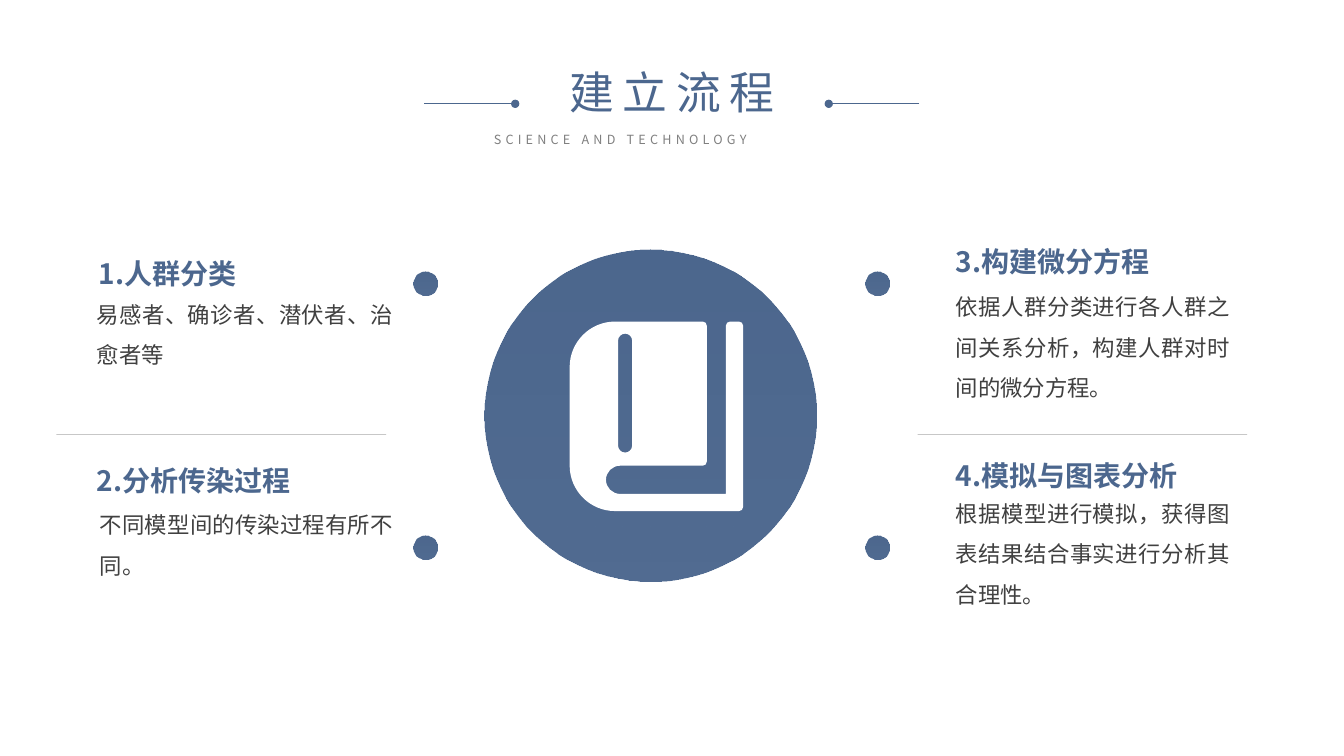
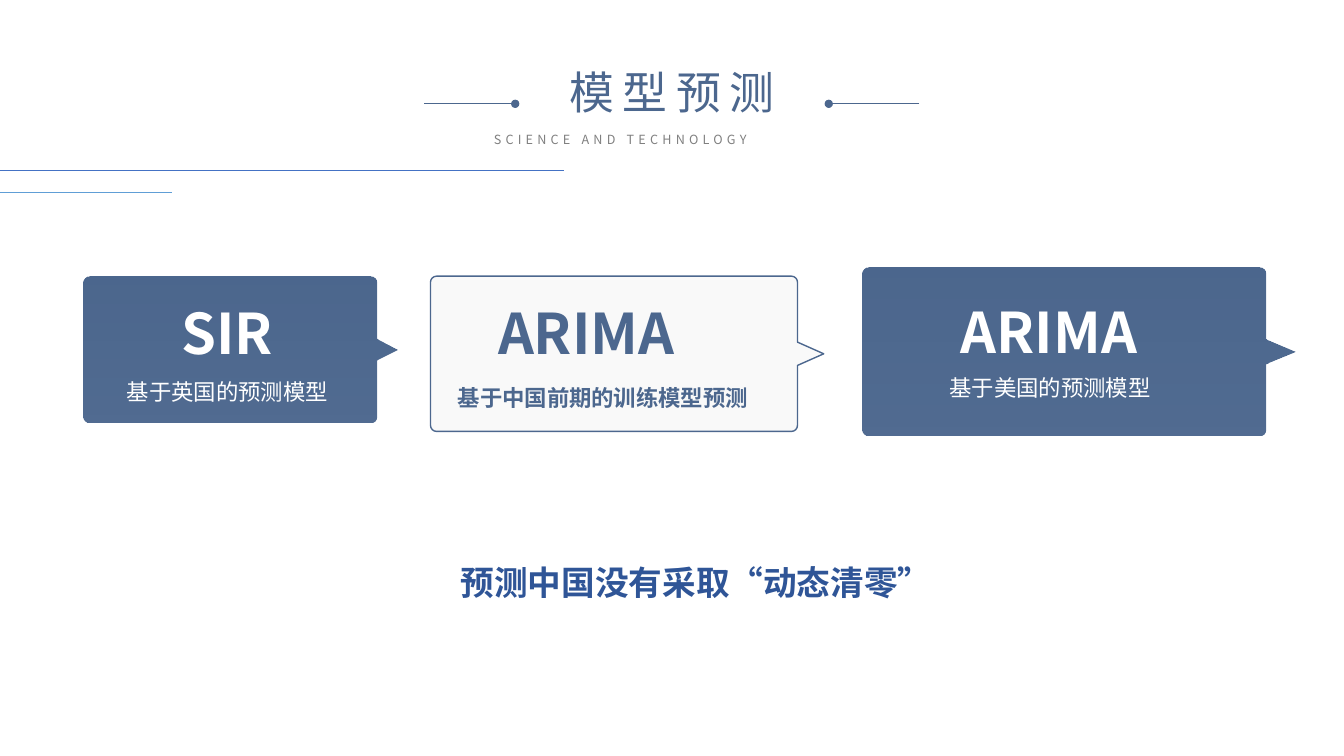
"""Build two slides on an epidemic modelling process and its predictions."""
import math

from pptx import Presentation
from pptx.dml.color import RGBColor
from pptx.enum import shapes, text
from pptx.oxml import ns, xmlchemy
from pptx.util import Inches, Pt

BLUE = RGBColor(0x4C, 0x67, 0x8E)
DEEP_BLUE = RGBColor(0x2F, 0x55, 0x97)
RULE_BLUE = RGBColor(0x44, 0x72, 0xC4)
SKY = RGBColor(0x60, 0x9E, 0xD6)
DARK = RGBColor(0x40, 0x40, 0x40)
GREY = RGBColor(0x80, 0x80, 0x80)
RULE_GREY = RGBColor(0xA6, 0xA6, 0xA6)
PALE = RGBColor(0xF2, 0xF2, 0xF2)
WHITE = RGBColor(0xFF, 0xFF, 0xFF)
FONT = "Noto Sans CJK SC"
LEFT, CENTER, JUSTIFY = (
    text.PP_ALIGN.LEFT, text.PP_ALIGN.CENTER, text.PP_ALIGN.JUSTIFY)
HEADING = {"size": Pt(20), "bold": True}
BODY = {"size": Pt(16)}
MODEL = {"size": Pt(40), "bold": True}
ARC_HANDLE = 0.55


def add_element(parent, tag, **attributes):
    element = xmlchemy.OxmlElement(tag)
    for name, value in attributes.items():
        element.set(name, value)
    parent.append(element)


def set_opacity(element, percent):
    color = list(element.iter(ns.qn("a:srgbClr")))[-1]
    add_element(color, "a:alpha", val=str(percent * 1000))


def add_text(slide, box, content, color, font_format, align=LEFT,
             line_spacing=1.5, inset=0, tracking=0):
    shape = slide.shapes.add_textbox(*map(Inches, box))
    frame = shape.text_frame
    frame.word_wrap = True
    frame.auto_size = text.MSO_AUTO_SIZE.SHAPE_TO_FIT_TEXT
    if inset is not None:
        for side in ("left", "top", "right", "bottom"):
            setattr(frame, f"margin_{side}", Inches(inset))
    paragraph = frame.paragraphs[0]
    paragraph.alignment = align
    paragraph.line_spacing = line_spacing
    run = paragraph.add_run()
    run.text = content
    for name, value in {"name": FONT, **font_format}.items():
        setattr(run.font, name, value)
    run.font.color.rgb = color
    properties = run.font._element
    add_element(properties, "a:ea", typeface=FONT)
    if tracking:
        properties.set("spc", str(tracking * 100))


def add_line(slide, start, end, color, opacity=100, oval_end=False):
    line = slide.shapes.add_connector(
        shapes.MSO_CONNECTOR.STRAIGHT, *map(Inches, (*start, *end)))
    line.line.color.rgb = color
    line.line.width = Pt(0.5)
    properties = line._element.spPr
    outline = properties.get_or_add_ln()
    if opacity < 100:
        set_opacity(outline, opacity)
    if oval_end:
        add_element(outline, "a:tailEnd", type="oval")
    add_element(properties, "a:effectLst")


def fill_plain(shape, color):
    shape.shadow.inherit = False
    shape.line.fill.background()
    shape.fill.solid()
    shape.fill.fore_color.rgb = color


def fill_gradient(shape):
    shape.shadow.inherit = False
    shape.line.fill.background()
    shape.fill.gradient()
    shape.fill.gradient_angle = 270
    for stop, position in zip(shape.fill.gradient_stops, (0, 1)):
        stop.color.rgb = BLUE
        stop.position = position
    set_opacity(shape._element.spPr, 97)


def add_disc(slide, center, diameter):
    x, y = (value - diameter / 2 for value in center)
    disc = slide.shapes.add_shape(
        shapes.MSO_SHAPE.OVAL, *map(Inches, (x, y, diameter, diameter)))
    fill_gradient(disc)


def round_corners(corners):
    """Turn (x, y, radius) corners into single points or Bezier quadruples."""
    pieces = []
    for index, (x, y, radius) in enumerate(corners):
        if not radius:
            pieces.append([(x, y)])
            continue
        ends = []
        for near in (corners[index - 1], corners[(index + 1) % len(corners)]):
            share = radius / math.dist((x, y), near[:2])
            ends.append((x + share * (near[0] - x), y + share * (near[1] - y)))
        handles = [
            (a + ARC_HANDLE * (x - a), b + ARC_HANDLE * (y - b))
            for a, b in ends]
        pieces.append([ends[0], *handles, ends[1]])
    return pieces


def bend_segments(shape, curve_starts):
    """Merge the three segments after each curve start into one curve."""
    outline = next(shape._element.iter(ns.qn("a:path")))
    segments = [item for item in outline if item.tag != ns.qn("a:close")]
    for start in curve_starts:
        curve = xmlchemy.OxmlElement("a:cubicBezTo")
        segments[start + 1].addprevious(curve)
        for segment in segments[start + 1:start + 4]:
            curve.append(segment[0])
            outline.remove(segment)


def add_outline(slide, *contours):
    builder = None
    curve_starts = []
    count = 0
    for contour in contours:
        points = []
        for piece in round_corners(contour):
            if len(piece) > 1:
                curve_starts.append(count + len(points))
            points += [(Inches(x), Inches(y)) for x, y in piece]
        if builder is None:
            builder = slide.shapes.build_freeform(*points[0])
        else:
            builder.move_to(*points[0])
        builder.add_line_segments(points[1:], close=True)
        count += len(points)
    shape = builder.convert_to_shape()
    bend_segments(shape, curve_starts)
    return shape


def add_book(slide):
    cover = [
        (7.37, 3.19, 0.04), (7.37, 5.07, 0.04), (5.65, 5.07, 0.45),
        (5.65, 3.19, 0.45), (7.01, 3.19, 0.04), (7.01, 4.62, 0.04),
        (6.01, 4.62, 0.14), (6.01, 4.9, 0.14), (7.2, 4.9, 0),
        (7.2, 3.19, 0.04)]
    slot = [(x, y, 0.07) for x, y in (
        (6.13, 3.31), (6.27, 3.31), (6.27, 4.49), (6.13, 4.49))]
    fill_plain(add_outline(slide, cover, slot), WHITE)


def add_callout(slide, left, top, right, bottom, tip, filled=True):
    middle = (top + bottom) / 2
    notch = 0.075 * (bottom - top)
    shape = add_outline(slide, [
        (left, top, 0.06), (right, top, 0.06), (right, middle - notch, 0),
        (tip, middle, 0), (right, middle + notch, 0),
        (right, bottom, 0.06), (left, bottom, 0.06)])
    if filled:
        fill_gradient(shape)
        return
    fill_plain(shape, PALE)
    set_opacity(shape._element.spPr, 44)
    shape.line.color.rgb = BLUE
    shape.line.width = Pt(1)


def add_titled_slide(presentation, title):
    slide = presentation.slides.add_slide(presentation.slide_layouts[6])
    add_text(slide, (4.8, 1.26, 3.74, 0.25), "SCIENCE AND TECHNOLOGY", GREY,
             {"size": Pt(9)}, JUSTIFY, 1, None, 3)
    add_text(slide, (5.16, 0.59, 3.01, 0.64), title, BLUE,
             {"size": Pt(32)}, CENTER, 1, None, 6)
    for outer, inner in ((4.21, 5.11), (9.12, 8.22)):
        add_line(slide, (outer, 1.03), (inner, 1.03), BLUE, oval_end=True)
    return slide


def add_process_slide(presentation):
    slide = add_titled_slide(presentation, "建立流程")
    add_disc(slide, (6.45, 4.12), 3.29)
    for x in (4.22, 8.7):
        for y in (2.81, 5.43):
            add_disc(slide, (x, y), 0.24)
    for x in (0.56, 9.1):
        add_line(slide, (x, 4.31), (x + 3.27, 4.31), RULE_GREY, opacity=62)
    add_book(slide)
    steps = [
        ((0.98, 2.38, 2.2, 0.45), "1.人群分类",
         (0.96, 2.85, 2.94, 0.76), "易感者、确诊者、潜伏者、治愈者等"),
        ((0.96, 4.43, 2.72, 0.45), "2.分析传染过程",
         (0.99, 4.94, 2.91, 0.76), "不同模型间的传染过程有所不同。"),
        ((9.48, 2.26, 2.57, 0.45), "3.构建微分方程",
         (9.48, 2.78, 2.72, 1.16),
         "依据人群分类进行各人群之间关系分析，构建人群对时间的微分方程。"),
        ((9.48, 4.38, 3.29, 0.45), "4.模拟与图表分析",
         (9.48, 4.83, 2.72, 1.16),
         "根据模型进行模拟，获得图表结果结合事实进行分析其合理性。"),
    ]
    for heading_box, heading, body_box, body in steps:
        add_text(slide, heading_box, heading, BLUE, HEADING, JUSTIFY)
        add_text(slide, body_box, body, DARK, BODY, JUSTIFY)


def add_prediction_slide(presentation):
    slide = add_titled_slide(presentation, "模型预测")
    add_callout(slide, 0.83, 2.74, 3.73, 4.19, 3.94)
    add_callout(slide, 4.27, 2.74, 7.91, 4.28, 8.17, filled=False)
    add_callout(slide, 8.55, 2.65, 12.55, 4.32, 12.85)
    labels = [
        ((1.8, 2.63, 1.36, 0.75), "SIR", WHITE, MODEL),
        ((1.26, 3.62, 2.24, 0.36), "基于英国的预测模型", WHITE, BODY),
        ((4.94, 2.63, 2.17, 0.79), "ARIMA", BLUE, MODEL),
        ((4.54, 3.68, 3.03, 0.36), "基于中国前期的训练模型预测", BLUE,
         {**BODY, "bold": True}),
        ((9.53, 2.62, 2.33, 0.89), "ARIMA", WHITE, MODEL),
        ((9.01, 3.58, 2.81, 0.36), "基于美国的预测模型", WHITE, BODY, CENTER),
        ((4.57, 5.37, 6.01, 0.53), "预测中国没有采取“动态清零”", DEEP_BLUE,
         {"size": Pt(24), "bold": True}),
    ]
    for label in labels:
        add_text(slide, *label)
    add_line(slide, (0, 1.69), (5.59, 1.69), RULE_BLUE)
    add_line(slide, (0, 1.91), (1.71, 1.91), SKY)


def main():
    presentation = Presentation()
    presentation.slide_width = Inches(13.33)
    presentation.slide_height = Inches(7.5)
    add_process_slide(presentation)
    add_prediction_slide(presentation)
    presentation.save("out.pptx")


if __name__ == "__main__":
    main()
